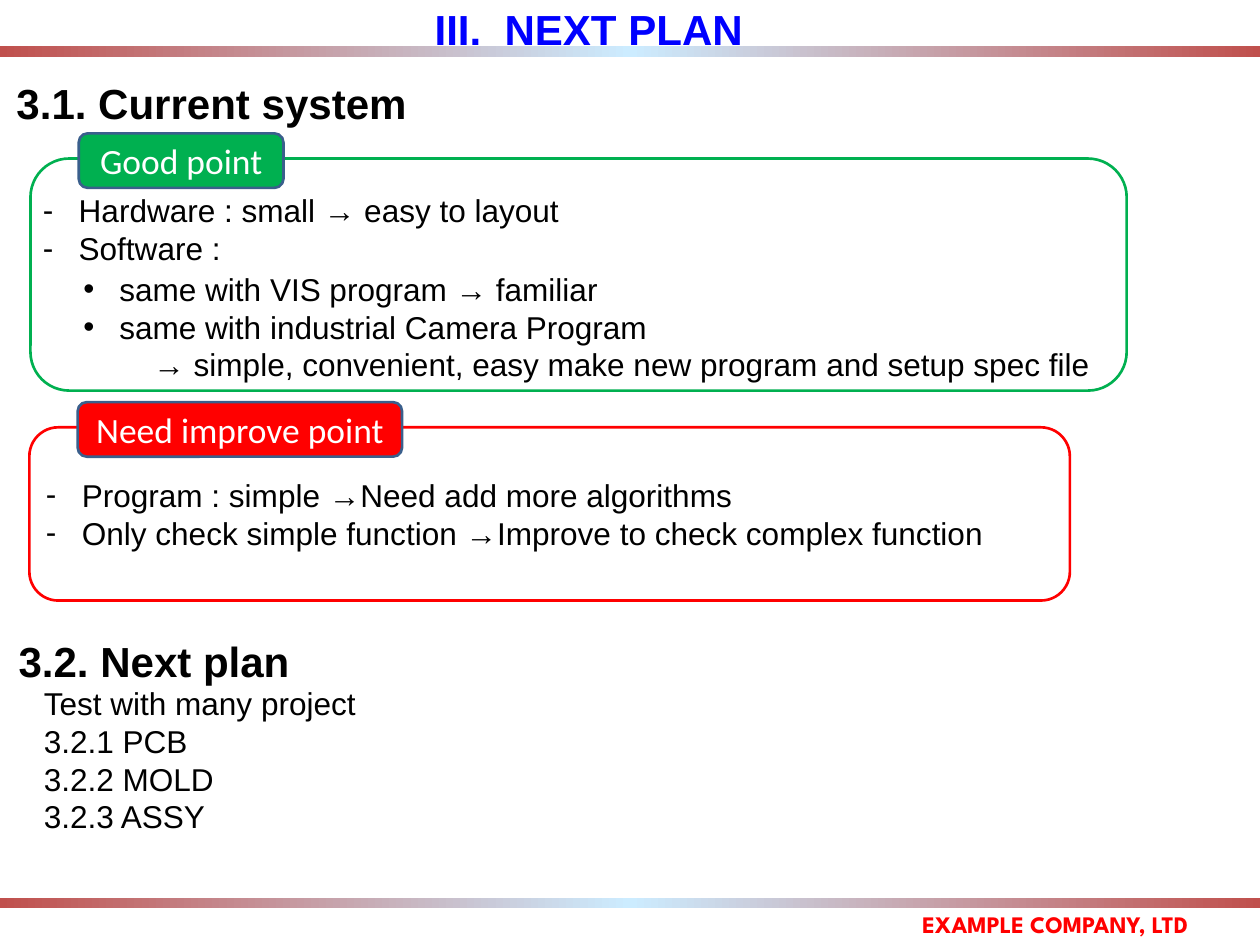
from copy import deepcopy
from dataclasses import dataclass

from pptx import Presentation
from pptx.dml.color import RGBColor
from pptx.enum.shapes import MSO_SHAPE
from pptx.enum.text import MSO_ANCHOR, MSO_AUTO_SIZE, PP_ALIGN
from pptx.oxml.ns import qn
from pptx.util import Inches, Pt
from lxml.etree import SubElement

WIDTH, HEIGHT = 13.32, 9.99
COLS, ROWS = 120, 90
HANG = 0.38
SUB = 0.43


@dataclass(frozen=True)
class Theme:
    """Colours, fonts and type sizes of the slide."""
    title: str = "0000FF"
    ink: str = "000000"
    paper: str = "FFFFFF"
    good: str = "00B050"
    bad: str = "FF0000"
    tag_line: str = "3A5F8C"
    bar_end: str = "C0504D"
    bar_mid: str = "CCECFF"
    font: str = "Arial"
    tag_font: str = "Calibri"
    footer_font: str = "League Spartan"
    heading_size: int = 32
    tag_size: int = 27
    body_size: int = 24
    footer_size: int = 18


THEME = Theme()


def rgb(value):
    """Turn a hex string into a colour."""
    return RGBColor.from_string(value)


def cell(col, row, cols, rows):
    """Turn a grid area into left, top, width and height."""
    dx, dy = WIDTH / COLS, HEIGHT / ROWS
    return [Inches(n) for n in (col * dx, row * dy, cols * dx, rows * dy)]


def place(sp, area):
    """Move a shape to a grid area."""
    sp.left, sp.top, sp.width, sp.height = cell(*area)
    return sp


def set_indent(p, left, bullet):
    """Give a paragraph its left margin and an optional hanging bullet."""
    pPr = p._p.get_or_add_pPr()
    pPr.set("marL", str(Inches(left + HANG if bullet else left)))
    pPr.set("indent", str(Inches(-HANG if bullet else 0)))
    if bullet:
        SubElement(pPr, qn("a:buFont"), typeface=THEME.font)
        SubElement(pPr, qn("a:buChar"), char=bullet)
    else:
        SubElement(pPr, qn("a:buNone"))


def write(sp, lines, size=THEME.body_size, font=THEME.font, color=THEME.ink, bold=False,
          align=PP_ALIGN.LEFT, anchor=MSO_ANCHOR.TOP, inset=(0.13, 0.07)):
    """Fill a shape with (text, left margin, bullet) lines in one format."""
    tf = sp.text_frame
    tf.word_wrap = True
    tf.auto_size = MSO_AUTO_SIZE.NONE
    tf.vertical_anchor = anchor
    tf.margin_left = tf.margin_right = Inches(inset[0])
    tf.margin_top = tf.margin_bottom = Inches(inset[1])
    for i, (text, left, bullet) in enumerate(lines):
        p = tf.add_paragraph() if i else tf.paragraphs[0]
        p.alignment = align
        p.space_before = Pt(0)
        set_indent(p, left, bullet)
        r = p.add_run()
        r.text = text
        r.font.size, r.font.name, r.font.bold = Pt(size), font, bold
        r.font.color.rgb = rgb(color)


def add_box(s, kind, area, fill=None, line=None):
    """Add a preset shape with an optional fill and outline."""
    sp = s.shapes.add_shape(kind, *cell(*area))
    sp.shadow.inherit = False
    if fill:
        sp.fill.solid()
        sp.fill.fore_color.rgb = rgb(fill)
    else:
        sp.fill.background()
    if line:
        sp.line.color.rgb = rgb(line)
        sp.line.width = Pt(2)
    else:
        sp.line.fill.background()
    return sp


def add_bar(s, row):
    """Add a full-width gradient bar behind the title."""
    sp = add_box(s, MSO_SHAPE.RECTANGLE, (0, row, COLS, 1))
    sp.fill.gradient()
    sp.fill.gradient_angle = 0
    first = sp.fill._xPr.find(qn("a:gradFill")).find(qn("a:gsLst"))[0]
    first.addnext(deepcopy(first))
    colors = (THEME.bar_end, THEME.bar_mid, THEME.bar_end)
    for stop, color, position in zip(sp.fill.gradient_stops, colors, (0, 0.5, 1)):
        stop.color.rgb = rgb(color)
        stop.position = position
    s.shapes.title._element.addprevious(sp._element)


def add_panel(s, area, label, label_cols, color):
    """Add a rounded frame with a label across its top edge."""
    col, row = area[:2]
    add_box(s, MSO_SHAPE.ROUNDED_RECTANGLE, area, line=color)
    tag = add_box(s, MSO_SHAPE.ROUNDED_RECTANGLE, (col + 4.6, row - 2.4, label_cols, 5.2),
                  fill=color, line=THEME.tag_line)
    write(tag, [(label, 0, None)], size=THEME.tag_size, font=THEME.tag_font,
          color=THEME.paper, align=PP_ALIGN.CENTER, anchor=MSO_ANCHOR.MIDDLE,
          inset=(0.1, 0.05))


def main():
    """Build and save the slide."""
    prs = Presentation()
    prs.slide_width, prs.slide_height = Inches(WIDTH), Inches(HEIGHT)
    s = prs.slides.add_slide(prs.slide_layouts.get_by_name("Comparison"))
    current, good, plan, improve = list(s.placeholders)[1:5]

    for row in (4.4, 85.5):
        add_bar(s, row)
    write(place(s.shapes.title, (17.2, -0.1, 77.8, 5.8)), [("III.  NEXT PLAN", 0, None)],
          size=THEME.heading_size, color=THEME.title, bold=True,
          align=PP_ALIGN.CENTER, inset=(0.1, 0.05))

    headings = ((current, "3.1. Current system", (0.4, 6.7, 42.3, 6)),
                (plan, "3.2. Next plan", (0.6, 59.9, 43, 6)))
    for sp, text, area in headings:
        write(place(sp, area), [(text, 0, None)], size=THEME.heading_size, bold=True)

    add_panel(s, (2.9, 15.1, 104.4, 22.1), "Good point", 19.5, THEME.good)
    write(place(good, (2.9, 17.6, 108, 19.5)), [
        ("Hardware : small → easy to layout", 0, "-"),
        ("Software :", 0, "-"),
        ("same with VIS program → familiar", SUB, "•"),
        ("same with industrial Camera Program", SUB, "•"),
        ("→ simple, convenient, easy make new program and setup spec file", 1.17, None)])
    good.text_frame.paragraphs[2].space_before = Pt(2)

    add_panel(s, (2.8, 40.7, 99.1, 16.5), "Need improve point", 30.9, THEME.bad)
    write(place(improve, (3.2, 44.7, 95.1, 8.5)), [
        ("Program : simple →Need add more algorithms", 0, "-"),
        ("Only check simple function →Improve to check complex function", 0, "-")])

    steps = s.shapes.add_textbox(*cell(3, 64.5, 55, 15.8))
    write(steps, [(text, 0, None) for text in (
        "Test with many project", "3.2.1 PCB", "3.2.2 MOLD", "3.2.3 ASSY")])

    footer = s.shapes.add_textbox(*cell(81, 86, 39, 4))
    write(footer, [("EXAMPLE COMPANY, LTD", 0, None)], size=THEME.footer_size,
          font=THEME.footer_font, color=THEME.bad, bold=True, align=PP_ALIGN.CENTER)
    prs.save("out.pptx")


if __name__ == "__main__":
    main()
